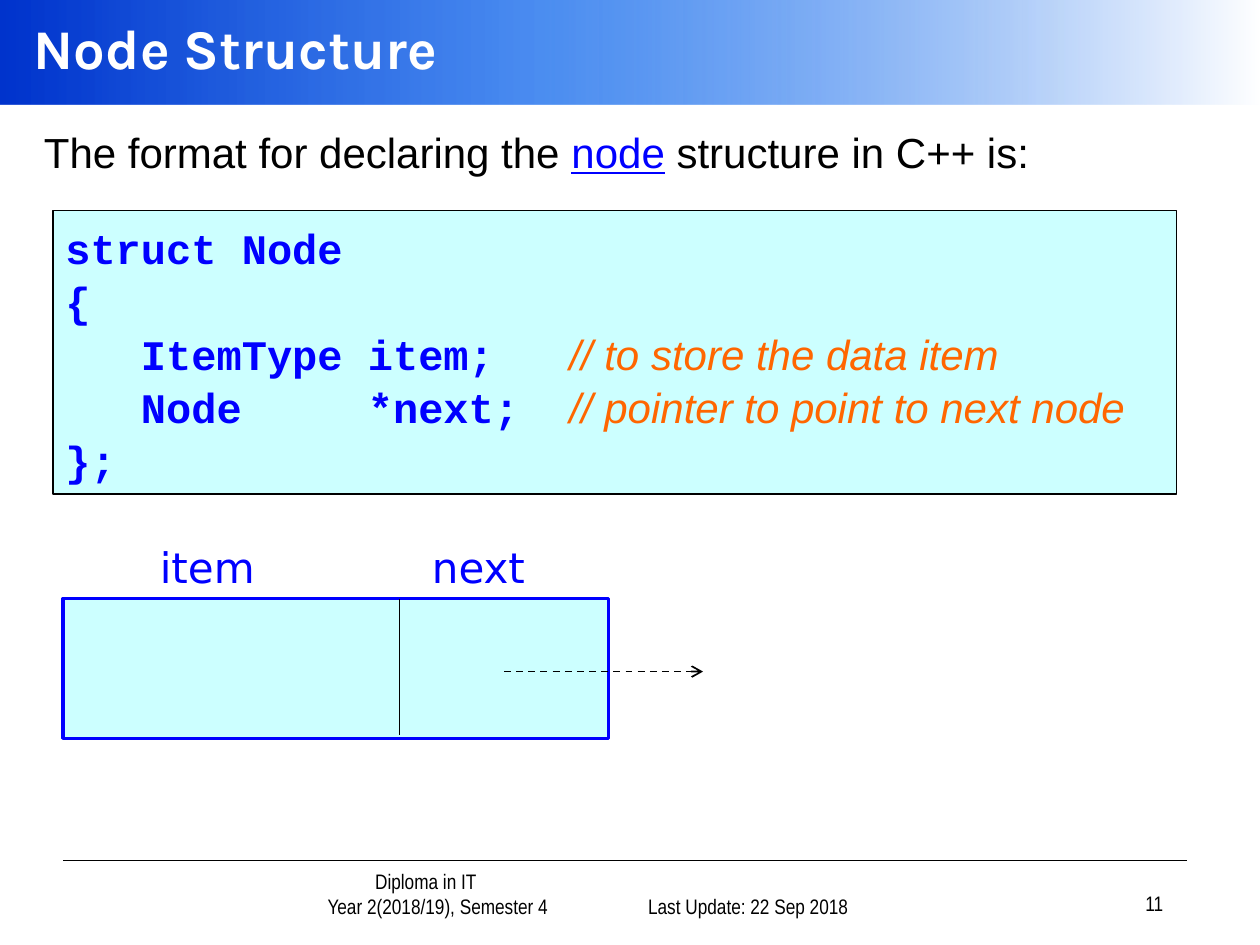
"""Build the Node Structure slide."""
import pptx
import pptx.util
import pptx.oxml
import pptx.oxml.ns
import pptx.dml.color
import pptx.enum.dml
import pptx.enum.shapes
import pptx.enum.text
import lxml.etree

Inches, Pt = pptx.util.Inches, pptx.util.Pt
ALIGN = pptx.enum.text.PP_ALIGN
ANCHOR = pptx.enum.text.MSO_ANCHOR
RECT = pptx.enum.shapes.MSO_SHAPE.RECTANGLE
qn = pptx.oxml.ns.qn

HUES = {"ink": "000000", "blue": "0000FF", "pale": "CCFFFF", "note": "FF6600",
        "white": "FFFFFF", "navy": "0033CC", "azure": "005EEB"}
STOPS = [(0, "navy", 100), (43, "azure", 70), (100, "white", 100)]

STYLES = {
    "title": {"name": "Karla", "size": Pt(32), "bold": True, "color": "white"},
    "body": {"name": "Arial", "size": Pt(24), "color": "ink"},
    "link": {"name": "Arial", "size": Pt(24), "underline": True, "color": "blue"},
    "code": {"name": "Courier New", "size": Pt(24), "bold": True, "color": "blue"},
    "note": {"name": "Arial", "size": Pt(24), "italic": True, "color": "note"},
    "label": {"name": "DejaVu Sans", "size": Pt(24), "color": "blue"},
    "foot": {"name": "Arial Narrow", "size": Pt(12), "color": "ink"},
}

CODE = [
    [("struct Node", "code")],
    [("{", "code")],
    [("   ItemType item;   ", "code"), ("// to store the data item", "note")],
    [("   Node     *next;  ", "code"), ("// pointer to point to next node", "note")],
    [("};", "code")],
]
INTRO = [[("The format for declaring the ", "body"), ("node", "link"),
          (" structure in C++ is:", "body")]]
TERM = [[("Diploma in IT", "foot")], [("Year 2(2018/19), Semester 4", "foot")]]

TEXTS = [
    ((0.17, 0, 9.83, 0.75), [[("Node Structure", "title")]],
     {"anchor": ANCHOR.MIDDLE}),
    ((0.25, 1, 9.58, 0.67), INTRO, {"space": 0.9}),
    ((1.17, 4.25, 1.58, 0.5), [[("item", "label")]], {}),
    ((3.33, 4.25, 1.33, 0.5), [[("next", "label")]], {}),
    ((1.68, 6.92, 2.9, 0.42), TERM,
     {"anchor": ANCHOR.BOTTOM, "align": ALIGN.CENTER, "left": [0.5, 0.69]}),
    ((4.75, 6.92, 2.08, 0.42), [[("Last Update: 22 Sep 2018", "foot")]],
     {"anchor": ANCHOR.BOTTOM, "align": ALIGN.RIGHT}),
    ((7.25, 6.9, 2.08, 0.42), [[("11", "foot")]],
     {"anchor": ANCHOR.BOTTOM, "align": ALIGN.RIGHT}),
]


def tint(hue):
    return pptx.dml.color.RGBColor.from_string(HUES[hue])


def write(shape, lines, anchor=ANCHOR.TOP, align=ALIGN.LEFT, space=None, left=None):
    frame = shape.text_frame
    frame.word_wrap = True
    frame.vertical_anchor = anchor
    for row, line in enumerate(lines):
        para = frame.add_paragraph() if row else frame.paragraphs[0]
        para.alignment = align
        para.line_spacing = space
        if left:
            para._p.get_or_add_pPr().set("marL", str(Inches(left[row])))
        for words, style in line:
            run = para.add_run()
            run.text = words
            for key, value in STYLES[style].items():
                if key == "color":
                    run.font.color.rgb = tint(value)
                else:
                    setattr(run.font, key, value)


def block(slide, spot, fill=None, edge=None, width=1):
    shape = slide.shapes.add_shape(RECT, *map(Inches, spot))
    shape.shadow.inherit = False
    if fill:
        shape.fill.solid()
        shape.fill.fore_color.rgb = tint(fill)
    if edge:
        shape.line.color.rgb = tint(edge)
        shape.line.width = Pt(width)
    else:
        shape.line.fill.background()
    return shape


def blend(shape):
    shape.fill.gradient()
    shape.fill.gradient_angle = 0
    stops = shape._element.spPr.find(qn("a:gradFill")).find(qn("a:gsLst"))
    for old in list(stops):
        stops.remove(old)
    for pos, hue, alpha in STOPS:
        stop = lxml.etree.SubElement(stops, qn("a:gs"), pos=str(pos * 1000))
        color = lxml.etree.SubElement(stop, qn("a:srgbClr"), val=HUES[hue])
        if alpha < 100:
            lxml.etree.SubElement(color, qn("a:alpha"), val=str(alpha * 1000))


def rule(slide, ends, arrow=False):
    kind = pptx.enum.shapes.MSO_CONNECTOR.STRAIGHT
    line = slide.shapes.add_connector(kind, *map(Inches, ends))
    line.line.color.rgb = tint("ink")
    line.line.width = Pt(1)
    if arrow:
        line.line.dash_style = pptx.enum.dml.MSO_LINE.DASH
        lxml.etree.SubElement(line.line._get_or_add_ln(), qn("a:tailEnd"), type="arrow")
    lxml.etree.SubElement(line._element.spPr, qn("a:effectLst"))


def main():
    deck = pptx.Presentation()
    deck.slide_width, deck.slide_height = Inches(10), Inches(7.5)
    slide = deck.slides.add_slide(deck.slide_layouts[6])

    rule(slide, (0.5, 6.83, 9.42, 6.83))
    blend(block(slide, (0, 0, 10, 0.83)))
    block(slide, (0.5, 4.75, 4.33, 1.11), "pale", "blue", 2)
    rule(slide, (3.17, 4.75, 3.17, 5.83))
    for spot, lines, form in TEXTS:
        write(slide.shapes.add_textbox(*map(Inches, spot)), lines, **form)
    rule(slide, (4, 5.33, 5.58, 5.33), arrow=True)
    panel = block(slide, (0.42, 1.67, 8.92, 2.25), "pale", "ink", 0.75)
    write(panel, CODE, anchor=ANCHOR.MIDDLE, space=1.05)

    deck.save("out.pptx")


if __name__ == "__main__":
    main()
